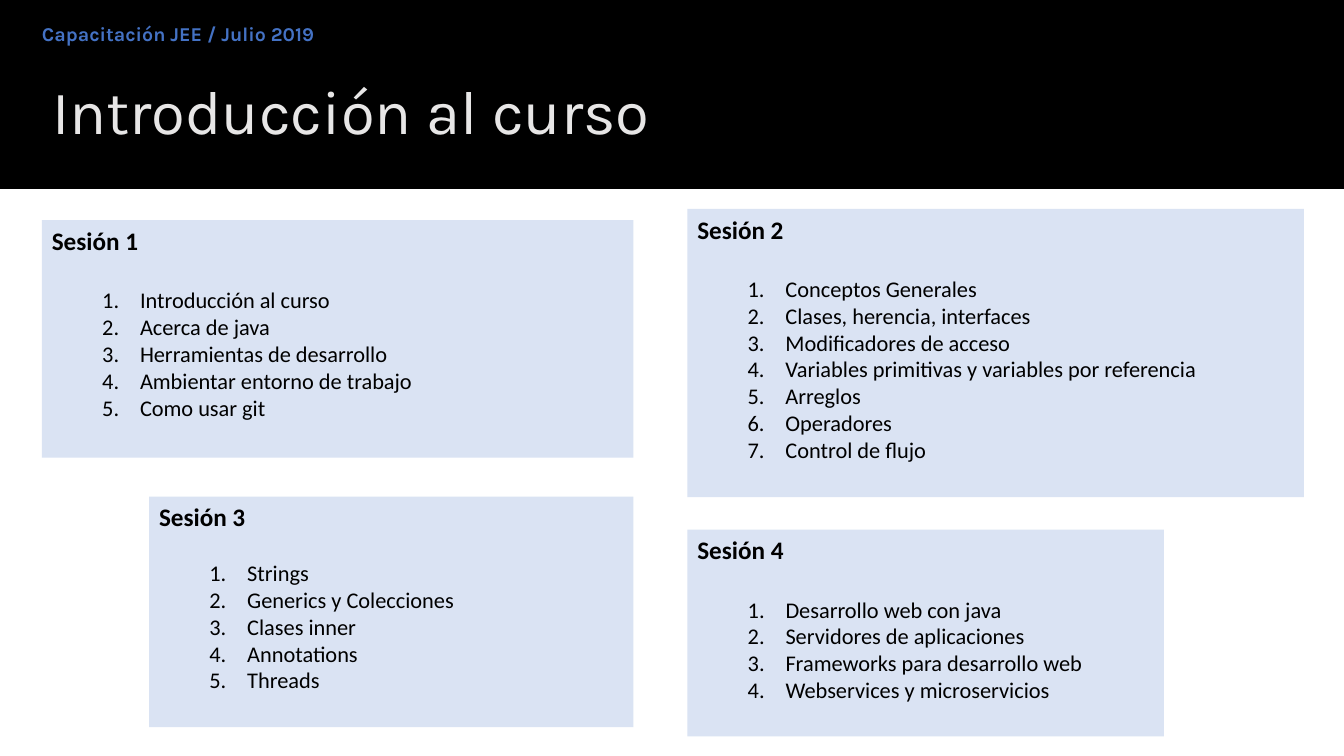
from pptx import Presentation
from pptx.dml.color import RGBColor
from pptx.enum.shapes import MSO_SHAPE
from pptx.enum.text import MSO_ANCHOR, MSO_AUTO_SIZE, PP_ALIGN
from pptx.oxml.ns import qn
from pptx.util import Pt
from lxml.etree import SubElement

BLACK = RGBColor(0x00, 0x00, 0x00)
GREY = RGBColor(0xE7, 0xE6, 0xE6)
BLUE = RGBColor(0x44, 0x72, 0xC4)
PALE = RGBColor(0xDA, 0xE3, 0xF3)
WIDTH, HEIGHT = 960, 540

# Box (left, top, width, height), gap above the list, items
SESSIONS = [
    ((29.9, 157.3, 422.5, 169.6), 22, [
        "Introducción al curso", "Acerca de java",
        "Herramientas de desarrollo", "Ambientar entorno de trabajo",
        "Como usar git"]),
    ((491, 149.3, 440.5, 205.8), 22, [
        "Conceptos Generales", "Clases, herencia, interfaces",
        "Modificadores de acceso",
        "Variables primitivas y variables por referencia",
        "Arreglos", "Operadores", "Control de flujo"]),
    ((106.5, 354.7, 345.9, 164.7), 19.5, [
        "Strings", "Generics y Colecciones", "Clases inner",
        "Annotations", "Threads"]),
    ((491, 378.3, 340.3, 147.7), 22, [
        "Desarrollo web con java", "Servidores de aplicaciones",
        "Frameworks para desarrollo web", "Webservices y microservicios"]),
]


def place(shape, box):
    for name, value in zip(("left", "top", "width", "height"), box):
        setattr(shape, name, Pt(value))


def style(para, color, **font):
    para.alignment = PP_ALIGN.LEFT
    for name, value in font.items():
        setattr(para.font, name, value)
    para.font.color.rgb = color


def add_block(slide, box, fill):
    block = slide.shapes.add_shape(MSO_SHAPE.RECTANGLE, *map(Pt, box))
    block.shadow.inherit = False
    block.fill.solid()
    block.fill.fore_color.rgb = fill
    block.line.fill.background()
    return block


def mark(para, bullet, margin=0, indent=0, **attrs):
    """Set the bullet kind and the hanging indent of a paragraph."""
    props = para._p.get_or_add_pPr()
    props.set("marL", str(Pt(margin)))
    props.set("indent", str(Pt(indent)))
    SubElement(props, qn(bullet), attrs)


def fill_holder(holder, box, text, anchor, color, **font):
    place(holder, box)
    frame = holder.text_frame
    frame.text = text
    frame.auto_size = MSO_AUTO_SIZE.NONE
    frame.vertical_anchor = anchor
    para = frame.paragraphs[0]
    para.line_spacing = 0.9
    style(para, color, name="Karla", **font)
    return frame


def add_header(slide, box):
    left, top, width, height = box
    band = add_block(slide, box, BLACK)
    slide.shapes._spTree.insert(2, band._element)
    fill_holder(slide.shapes.title, (left + 30, top + 44.6, width - 60, 75),
                "Introducción al curso", MSO_ANCHOR.MIDDLE, GREY, size=Pt(44))
    frame = fill_holder(slide.placeholders[1], (left + 30, top + 17.3, 432, 18),
                        "Capacitación JEE / Julio 2019", MSO_ANCHOR.TOP, BLUE,
                        size=Pt(14), bold=True)
    for side, inset in dict(left=0, top=0, right=0, bottom=3.6).items():
        setattr(frame, f"margin_{side}", Pt(inset))
    para = frame.paragraphs[0]
    para.space_before = Pt(10)
    mark(para, "a:buNone")


def add_session(slide, box, title, gap, items):
    frame = add_block(slide, box, PALE).text_frame
    frame.word_wrap = True
    frame.vertical_anchor = MSO_ANCHOR.TOP
    head = frame.paragraphs[0]
    head.text = title
    style(head, BLACK, name="Calibri", size=Pt(18), bold=True)
    for index, item in enumerate(items):
        para = frame.add_paragraph()
        para.text = item
        para.level = 1
        para.space_before = Pt(0 if index else gap)
        style(para, BLACK, name="Calibri", size=Pt(16), bold=False)
        mark(para, "a:buAutoNum", 63, -27, type="arabicPeriod")


def main():
    deck = Presentation()
    deck.slide_width, deck.slide_height = Pt(WIDTH), Pt(HEIGHT)
    slide = deck.slides.add_slide(deck.slide_layouts[1])
    add_header(slide, (0, 0, WIDTH, 135))
    for number, (box, gap, items) in enumerate(SESSIONS, 1):
        add_session(slide, box, f"Sesión {number}", gap, items)
    deck.save("out.pptx")


if __name__ == "__main__":
    main()
